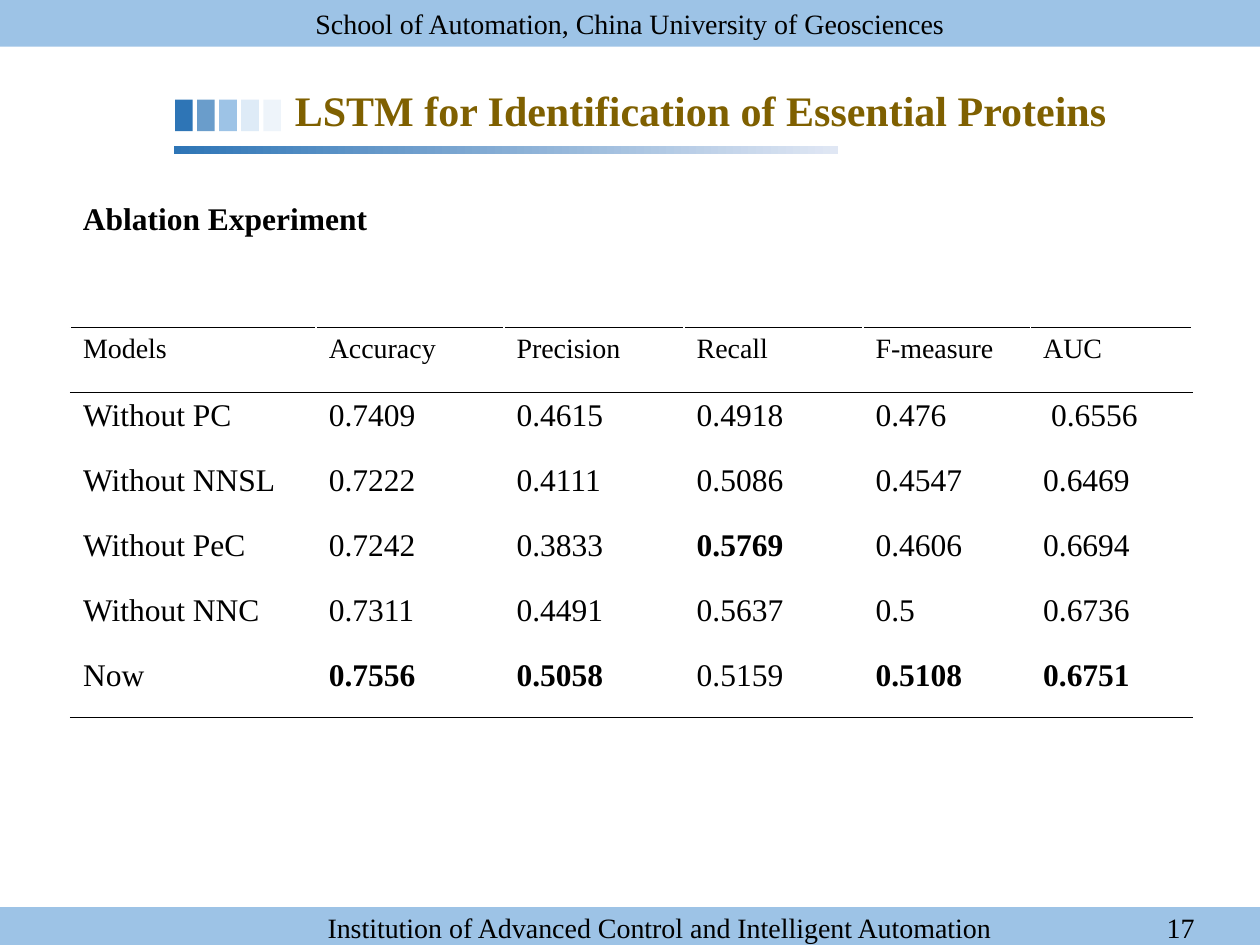
"""Build the ablation experiment slide with its header, results table and footer."""
import pptx
import pptx.dml.color
import pptx.enum.dml
import pptx.enum.shapes
import pptx.enum.text
import pptx.oxml
import pptx.oxml.ns
import pptx.util

Inches = pptx.util.Inches
ALIGN = pptx.enum.text.PP_ALIGN
ANCHOR = pptx.enum.text.MSO_ANCHOR
BLACK, WHITE, GOLD = "000000", "FFFFFF", "7F6000"
BLUE, SKY, PALE, MIST = "2E75B6", "9DC3E6", "DEEBF7", "E0E7F4"

SWATCHES = [(BLUE, 100), (BLUE, 71), (SKY, 100), (PALE, 100), (PALE, 50)]
COLUMNS = [1.95, 1.49, 1.43, 1.42, 1.33, 1.28]
RESULTS = [
    ["Models", "Accuracy", "Precision", "Recall", "F-measure", "AUC"],
    ["Without PC", "0.7409", "0.4615", "0.4918", "0.476", " 0.6556"],
    ["Without NNSL", "0.7222", "0.4111", "0.5086", "0.4547", "0.6469"],
    ["Without PeC", "0.7242", "0.3833", "0.5769", "0.4606", "0.6694"],
    ["Without NNC", "0.7311", "0.4491", "0.5637", "0.5", "0.6736"],
    ["Now", "0.7556", "0.5058", "0.5159", "0.5108", "0.6751"],
]
BEST = {"0.7556", "0.5058", "0.5769", "0.5108", "0.6751"}


def color(value):
    return pptx.dml.color.RGBColor.from_string(value)


class SlideBuilder:
    def __init__(self, slide, font="Times New Roman"):
        self.slide = slide
        self.font = font

    def paint(self, fill, value, opacity=100):
        fill.solid()
        fill.fore_color.rgb = color(value)
        if opacity < 100:
            for node in fill._xPr.iter(pptx.oxml.ns.qn("a:srgbClr")):
                alpha = pptx.oxml.ns.qn("a:alpha")
                node.append(node.makeelement(alpha, {"val": str(opacity * 1000)}))

    def put_text(self, frame, text, size=16, ink=BLACK, bold=False, align=ALIGN.LEFT):
        para = frame.paragraphs[0]
        para.alignment = align
        span = para.add_run()
        span.text = text
        values = {"name": self.font, "size": pptx.util.Pt(size), "bold": bold}
        for name, value in values.items():
            setattr(span.font, name, value)
        span.font.color.rgb = color(ink)

    def frame(self, box, anchor, right=0.1):
        values = {
            "word_wrap": True,
            "auto_size": pptx.enum.text.MSO_AUTO_SIZE.NONE,
            "vertical_anchor": anchor,
            "margin_left": Inches(0.1),
            "margin_right": Inches(right),
            "margin_top": Inches(0.05),
            "margin_bottom": Inches(0.05),
        }
        for name, value in values.items():
            setattr(box.text_frame, name, value)
        return box.text_frame

    def rectangle(self, place, fill, opacity=100):
        kind = pptx.enum.shapes.MSO_SHAPE.RECTANGLE
        box = self.slide.shapes.add_shape(kind, *map(Inches, place))
        box.shadow.inherit = False
        box.line.fill.background()
        self.paint(box.fill, fill, opacity)
        return box

    def gradient_bar(self, place, start, end):
        bar = self.rectangle(place, start)
        bar.fill.gradient()
        bar.fill.gradient_angle = 0
        for stop, value in zip(bar.fill.gradient_stops, (start, end)):
            stop.color.rgb = color(value)

    def title(self, place, text, **style):
        box = self.slide.shapes.title
        for name, value in zip(("left", "top", "width", "height"), place):
            setattr(box, name, Inches(value))
        self.put_text(self.frame(box, ANCHOR.TOP), text, **style)

    def text(self, place, text, anchor=ANCHOR.MIDDLE, right=0.1, **style):
        box = self.slide.shapes.add_textbox(*map(Inches, place))
        self.put_text(self.frame(box, anchor, right), text, **style)

    def rule(self, cell, sides):
        properties = cell._tc.get_or_add_tcPr()
        for index, side in enumerate(sides):
            line = pptx.oxml.parse_xml(
                f'<a:ln{side} {pptx.oxml.ns.nsdecls("a")} w="5715"><a:solidFill>'
                f'<a:srgbClr val="{BLACK}"/></a:solidFill></a:ln{side}>'
            )
            properties.insert(index, line)

    def table(self, place, columns, rows):
        shape = self.slide.shapes.add_table(len(rows), len(columns), *map(Inches, place))
        table = shape.table
        table.first_row = table.horz_banding = False
        for column, width in zip(table.columns, columns):
            column.width = Inches(width)
        borders = {0: "TB", 1: "T", len(rows) - 1: "B"}
        for i, row in enumerate(rows):
            for j, value in enumerate(row):
                cell = table.cell(i, j)
                if i in (0, 2):
                    cell.fill.background()
                else:
                    self.paint(cell.fill, WHITE, 20 if i == 1 else 100)
                self.rule(cell, borders.get(i, ""))
                self.put_text(cell.text_frame, value, 18 if i else 16, bold=value in BEST)


def main():
    deck = pptx.Presentation()
    deck.slide_width, deck.slide_height = Inches(10), Inches(7.5)
    page = SlideBuilder(deck.slides.add_slide(deck.slide_layouts[5]))

    header = page.rectangle((0, 0, 10, 0.37), SKY)
    page.put_text(page.frame(header, ANCHOR.MIDDLE),
                  "School of Automation, China University of Geosciences", align=ALIGN.CENTER)
    page.rectangle((0, 7.2, 10, 0.3), SKY)
    for index, (fill, opacity) in enumerate(SWATCHES):
        page.rectangle((1.39 + 0.175 * index, 0.79, 0.14, 0.25), fill, opacity)
    page.gradient_bar((1.38, 1.16, 5.27, 0.06), BLUE, MIST)

    page.text((2.24, 7.16, 6.17, 0.4),
              "Institution of Advanced Control and Intelligent Automation",
              right=0.28, align=ALIGN.CENTER)
    page.text((8.95, 7.16, 0.63, 0.4), "17", align=ALIGN.RIGHT)
    page.text((0.56, 1.53, 8.2, 0.4), "Ablation Experiment",
              anchor=ANCHOR.TOP, size=18, bold=True)
    page.title((2.24, 0.62, 9.14, 0.5), "LSTM for Identification of Essential Proteins",
               size=24, ink=GOLD, bold=True)
    page.table((0.56, 2.6, 8.9, 3.09), COLUMNS, RESULTS)
    deck.save("out.pptx")


if __name__ == "__main__":
    main()
